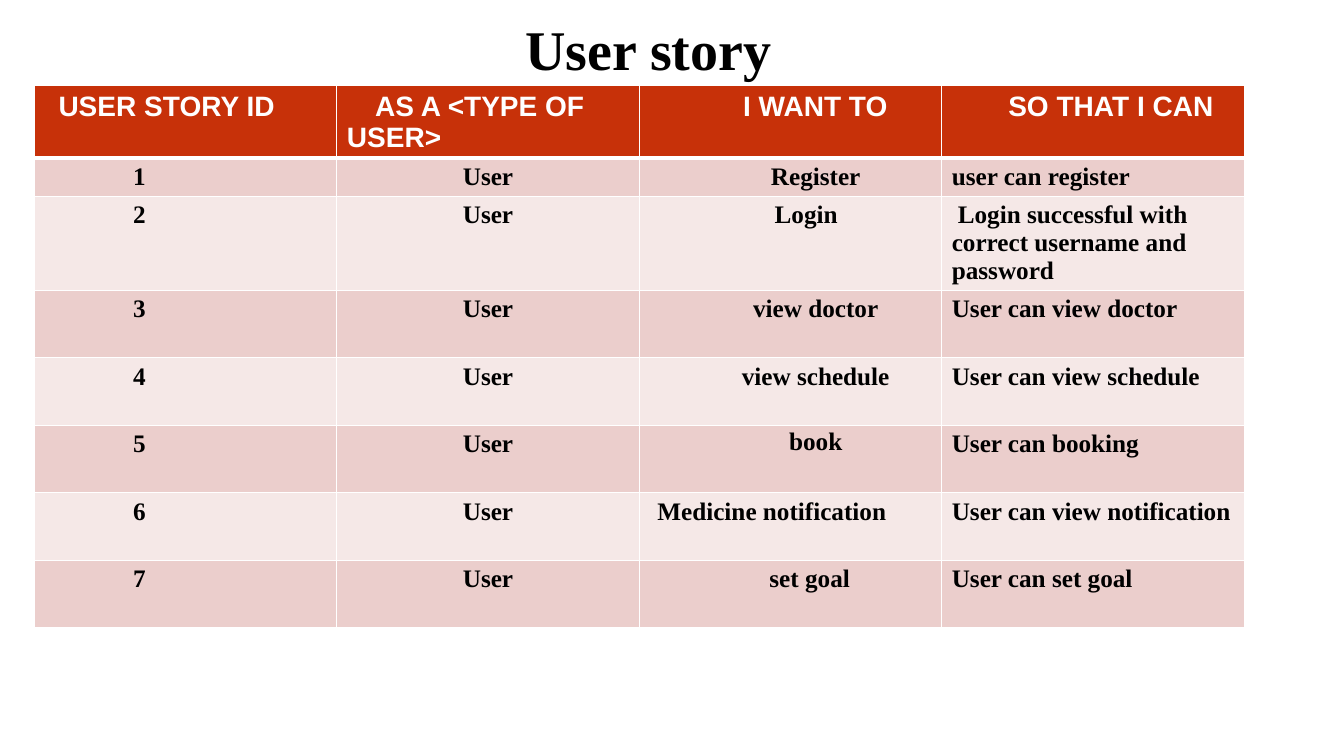
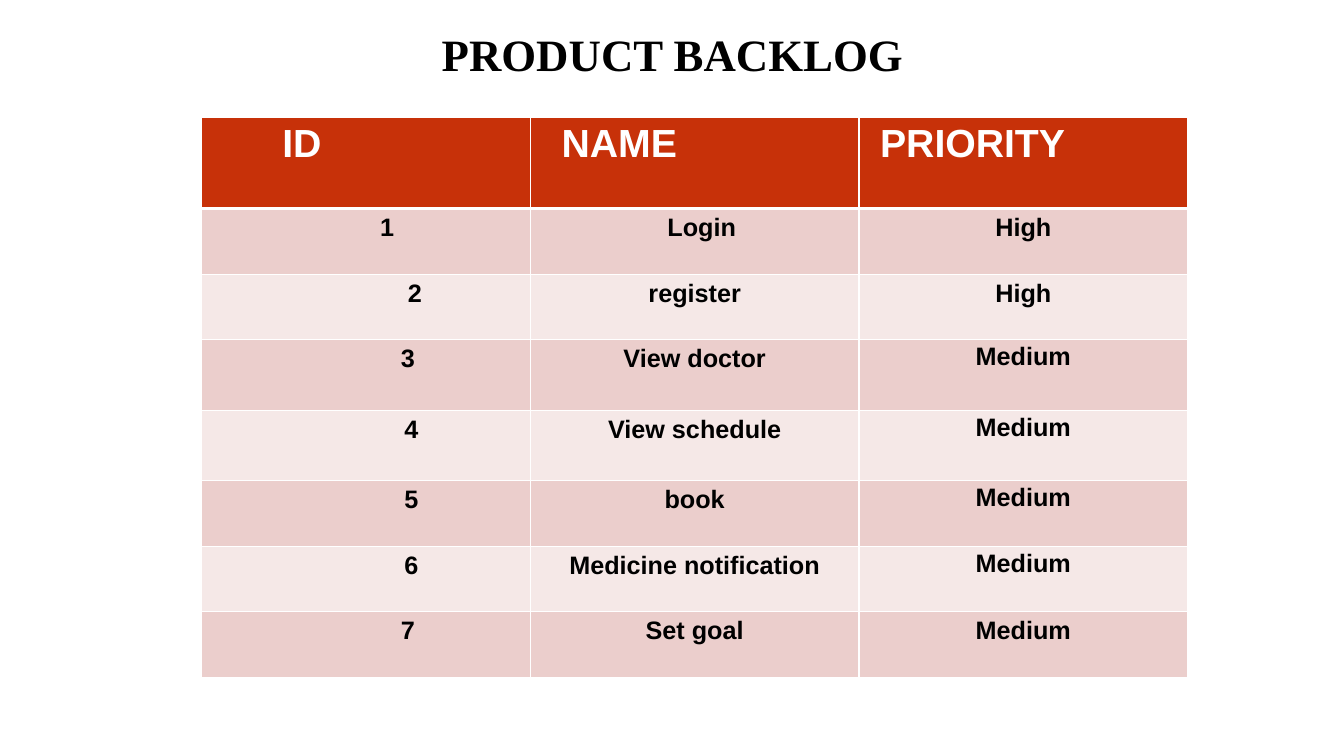
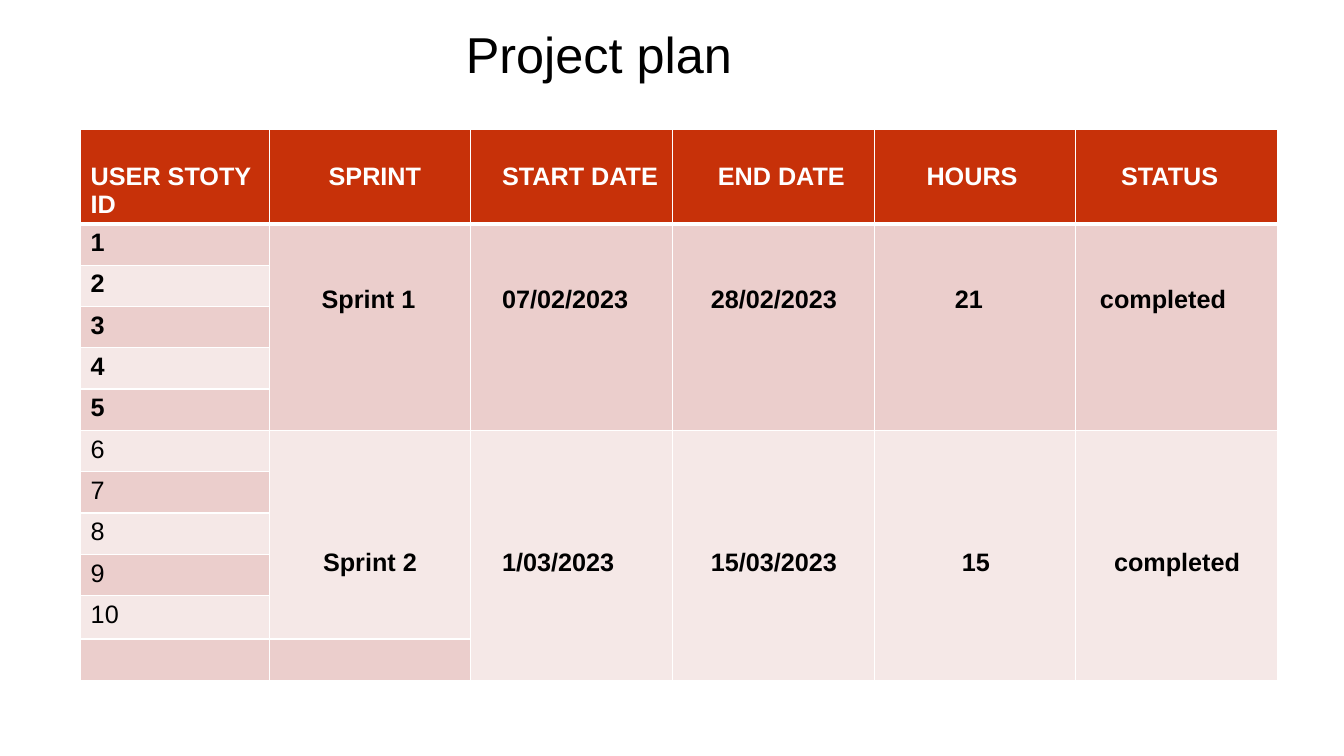
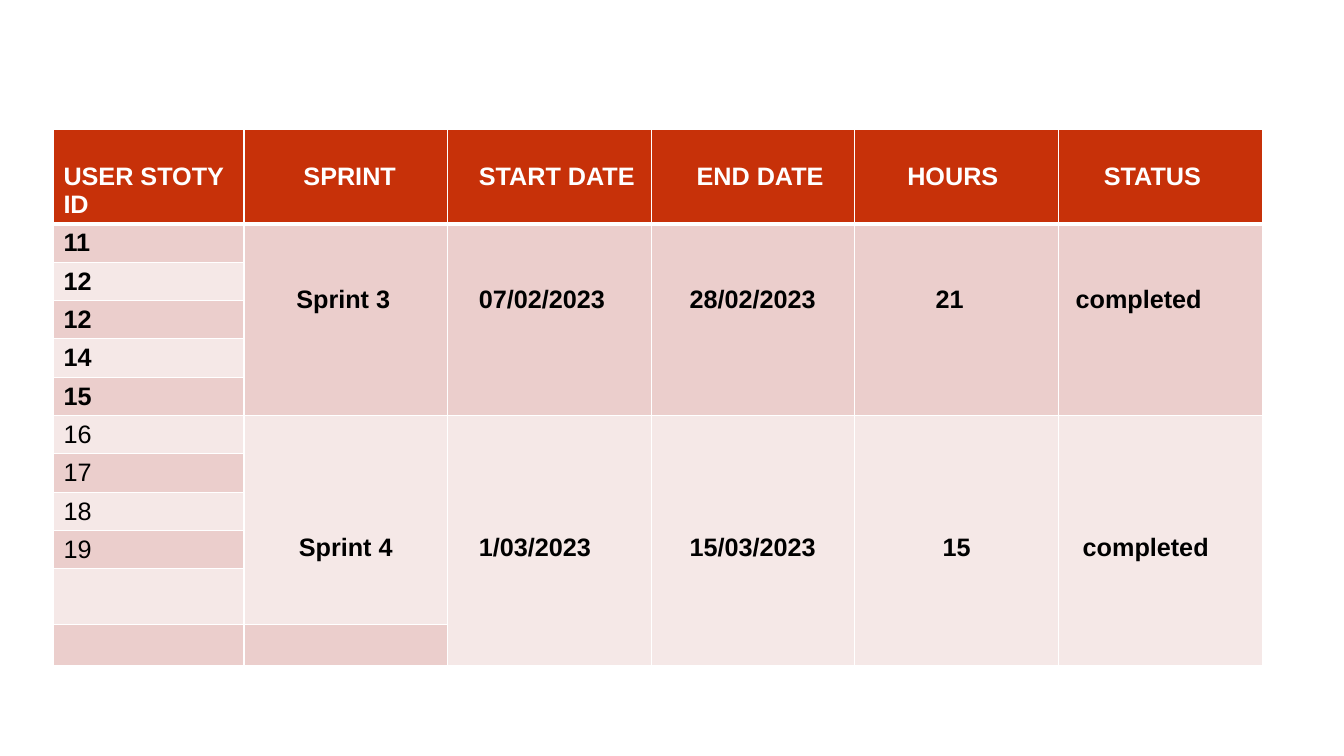
from dataclasses import dataclass

from lxml.etree import SubElement
from pptx import Presentation
from pptx.dml.color import RGBColor
from pptx.enum.text import MSO_ANCHOR as Anchor, PP_ALIGN as Align
from pptx.oxml.ns import qn
from pptx.util import Pt

PX = 9144  # 100 px to the inch

BLACK = RGBColor(0x00, 0x00, 0x00)
WHITE = RGBColor(0xFF, 0xFF, 0xFF)
RED = RGBColor(0xC7, 0x31, 0x09)
BANDS = RGBColor(0xF5, 0xE8, 0xE7), RGBColor(0xEB, 0xCE, 0xCC)

SANS = "Arial"
SERIF = "Times New Roman"
TITLE_ONLY, BLANK = 5, 6
LINE = 28  # height of one 18 pt line


def px(length):
    return int(length * PX)


def set_all(target, values):
    for name, value in values.items():
        setattr(target, name, value)


@dataclass
class Entry:
    """Text of a table cell; indent is for the first line, drop counts lines."""
    text: str = ""
    indent: int = 0
    align: Align = Align.LEFT
    size: int = 18
    bold: bool = True
    drop: int = 0
    spacing: float = 1.0


def centred(text, indent=0, **extra):
    return Entry(text, indent, Align.CENTER, **extra)


class Deck:
    def __init__(self):
        self.deck = Presentation()
        set_all(self.deck, {"slide_width": px(1333), "slide_height": px(750)})
        self.page = None

    def add_page(self, layout=TITLE_ONLY):
        self.page = self.deck.slides.add_slide(self.deck.slide_layouts[layout])

    def put_text(self, para, entry, font, colour):
        set_all(para, {"alignment": entry.align, "line_spacing": entry.spacing})
        if entry.indent:
            para._p.get_or_add_pPr().set("indent", str(px(entry.indent)))
        span = para.add_run()
        span.text = entry.text
        set_all(span.font, {"name": font, "size": Pt(entry.size), "bold": entry.bold})
        span.font.color.rgb = colour

    def title(self, entry, top=21, font=SERIF):
        box = self.page.shapes.title
        set_all(box, {"left": px(67), "top": px(top), "width": px(1200), "height": px(64)})
        set_all(box.text_frame, {"vertical_anchor": Anchor.MIDDLE, "word_wrap": True})
        self.put_text(box.text_frame.paragraphs[0], entry, font, BLACK)

    def borders(self, cell, bottom):
        props = cell._tc.get_or_add_tcPr()
        for side, width in zip("LRTB", (1, 1, 1, bottom)):
            line = SubElement(props, qn(f"a:ln{side}"), w=str(int(Pt(width))))
            fill = SubElement(line, qn("a:solidFill"))
            SubElement(fill, qn("a:srgbClr"), val=str(WHITE))

    def table(self, left, top, widths, heights, rows, font=SANS):
        """Draws a red header row, then banded rows set in the given font."""
        frame = self.page.shapes.add_table(
            len(heights), len(widths), px(left), px(top), px(sum(widths)), px(sum(heights)))
        table = frame.table
        for column, width in zip(table.columns, widths):
            column.width = px(width)
        for row, height in zip(table.rows, heights):
            row.height = px(height)
        for i, entries in enumerate(rows):
            header = i == 0
            for j, entry in enumerate(entries):
                cell = table.cell(i, j)
                self.borders(cell, 3 if header else 1)
                cell.fill.solid()
                cell.fill.fore_color.rgb = RED if header else BANDS[i % 2]
                cell.margin_top = px(5 + LINE * entry.drop)
                if entry.text:
                    self.put_text(cell.text_frame.paragraphs[0], entry,
                                  SANS if header else font, WHITE if header else BLACK)
        return table

    def sprint_table(self, left, widths, heights, ids, first, second):
        """Draws story ids beside two sprints, each a merged block of rows."""
        headers = [("USER STOTY ID", 0), ("SPRINT", 49), ("START DATE", 21),
                   ("END DATE", 35), ("HOURS", 42), ("STATUS", 35)]
        rows = [[Entry(text, indent, drop=1) for text, indent in headers]]
        for i in range(11):
            story = Entry(ids[i] if i < len(ids) else "", bold=i < 5)
            rows.append([story] + [Entry() for _ in widths[1:]])
        for row, drop, sprint in ((1, 2, first), (6, 4, second)):
            for j, entry in enumerate(sprint, 1):
                entry.drop = drop
                rows[row][j] = entry
        table = self.table(left, 128, widths, heights, rows)
        for j in range(1, len(widths)):
            table.cell(1, j).merge(table.cell(5, j))
            table.cell(6, j).merge(table.cell(10 if j == 1 else 11, j))


def user_story(deck):
    deck.add_page()
    deck.title(Entry("User story", 444, size=40), top=16)
    rows = [[Entry("USER STORY ID", 14, size=20), Entry("AS A <TYPE OF USER>", 28, size=20),
             Entry("I WANT TO", 93, size=20), Entry("SO THAT I CAN", 56, size=20)]]
    stories = [
        (centred("Register", 50), Entry("user can register")),
        (centred("Login", 31), Entry("Login successful with correct username and password", 6)),
        (centred("view doctor", 50), Entry("User can view doctor")),
        (centred("view schedule", 50), Entry("User can view schedule")),
        (centred("book", 50, spacing=0.9), Entry("User can booking")),
        (Entry("Medicine notification", 8), Entry("User can view notification")),
        (centred("set goal", 38), Entry("User can set goal")),
    ]
    for number, (want, can) in enumerate(stories, 1):
        rows.append([Entry(str(number), 88), centred("User"), want, can])
    deck.table(34, 85, [300] * 4, [71, 37, 93] + [67] * 5, rows, SERIF)


def product_backlog(deck):
    deck.add_page()
    deck.title(centred("PRODUCT BACKLOG", size=32))
    rows = [[Entry("ID", 70, size=28), Entry("NAME", 21, size=28),
             Entry("PRIORITY", 11, size=28)]]
    backlog = [(42, "Login", "High"), (97, "register", "High"), (83, "View doctor", "Medium"),
               (90, "View schedule", "Medium"), (90, "book", "Medium"),
               (90, "Medicine notification", "Medium"), (83, "Set goal", "Medium")]
    for number, (indent, name, priority) in enumerate(backlog, 1):
        rows.append([centred(str(number), indent),
                     centred(name, 14 if name == "Login" else 0), centred(priority)])
    table = deck.table(200, 116, [326] * 3, [91, 65, 65, 70, 70, 65, 65, 65], rows)
    for i in range(3, 7):
        table.cell(i, 2).margin_top = px(3)


def first_sprint(name, status_indent):
    return [Entry(name, 42), Entry("07/02/2023", 21), Entry("28/02/2023", 28),
            Entry("21", 70), Entry("completed", status_indent)]


def second_sprint(name, status_indent):
    return [centred(name), Entry("1/03/2023", 21), Entry("15/03/2023", 28),
            Entry("15", 77), Entry("completed", status_indent)]


def project_plan(deck):
    deck.add_page()
    deck.title(Entry("Project plan", 385, size=36, bold=False), font=SANS)
    deck.sprint_table(80, [187] + [200] * 5, [92] + [41] * 9 + [43, 41],
                      [str(number) for number in range(1, 11)],
                      first_sprint("Sprint 1", 14), second_sprint("Sprint 2", 28))


def project_plan_continued(deck):
    deck.add_page(BLANK)
    deck.sprint_table(53, [189] + [202] * 5, [92] + [38] * 9 + [55, 37],
                      ["11", "12", "12", "14", "15", "16", "17", "18", "19"],
                      first_sprint("Sprint 3", 7), second_sprint("Sprint 4", 14))


def main():
    deck = Deck()
    for build in (user_story, product_backlog, project_plan, project_plan_continued):
        build(deck)
    deck.deck.save("out.pptx")


if __name__ == "__main__":
    main()
